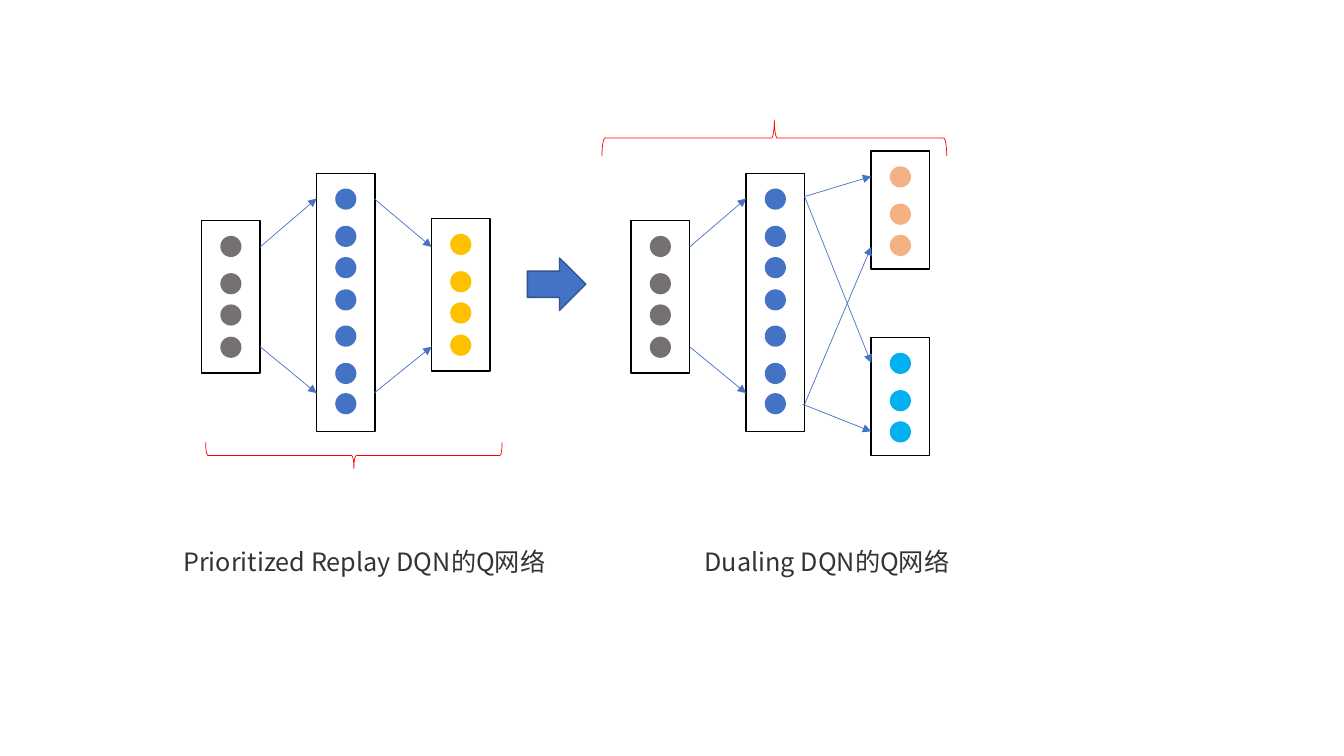
"""Build a slide comparing the Q networks of two DQN variants."""
from lxml import etree
from pptx import Presentation
from pptx.dml.color import RGBColor
from pptx.enum import shapes, text
from pptx.oxml import ns
from pptx.util import Inches, Pt

COLORS = {"input": "767171", "hidden": "4472C4", "action": "FFC000",
          "value": "F4B183", "advantage": "00B0F0", "outline": "000000",
          "arrow_edge": "325491", "brace": "FF0000", "caption": "333333"}
FONT = "Noto Sans CJK SC"
LAYER_WIDTH, NODE_SIZE = 0.58, 0.21
NODE_OFFSETS = [0.15, 0.52, 0.83, 1.15, 1.51, 1.88, 2.18]
LAYER_HEIGHTS = {3: 1.17, 4: 1.51, 7: 2.56}

NETWORK_LEFTS = [2.0, 6.26]
SHARED_LAYERS = [("input", 0, 2.19, 4), ("hidden", 1.14, 1.72, 7)]
OUTPUT_LAYERS = [("action", 4.28, 2.17, 4), ("value", 8.64, 1.5, 3),
                 ("advantage", 8.64, 3.35, 3)]
SHARED_LINKS = [((0.58, 2.45), (1.14, 1.97)), ((0.58, 3.44), (1.14, 3.9))]
OUTPUT_LINKS = [((3.71, 1.97), (4.28, 2.45)), ((3.71, 3.9), (4.28, 3.44)),
                ((7.98, 1.95), (8.64, 1.75)), ((7.98, 4.01), (8.64, 2.45)),
                ((7.98, 1.95), (8.64, 3.6)), ((7.96, 4.01), (8.64, 4.28))]
BRACES = [((3.38, 3.05, 0.26, 2.94), 90), ((7.5, -0.34, 0.36, 3.42), 270)]
CHANGE_ARROW = (5.23, 2.56, 0.58, 0.52)
CAPTIONS = [("Prioritized Replay DQN的Q网络", (1.72, 5.37, 4.0, 0.4)),
            ("Dualing DQN的Q网络", (6.89, 5.37, 2.83, 0.4))]


def rgb(name):
    return RGBColor.from_string(COLORS[name])


def add_figure(slide, preset, box, fill=None, line=None, width=1, rotation=0):
    figure = slide.shapes.add_shape(preset, *map(Inches, box))
    figure.shadow.inherit = False
    figure.rotation = rotation
    if fill:
        figure.fill.solid()
        figure.fill.fore_color.rgb = rgb(fill)
    else:
        figure.fill.background()
    if line:
        figure.line.color.rgb = rgb(line)
        figure.line.width = Pt(width)
    else:
        figure.line.fill.background()


def add_layer(slide, kind, left, top, count):
    add_figure(slide, shapes.MSO_SHAPE.RECTANGLE,
               (left, top, LAYER_WIDTH, LAYER_HEIGHTS[count]), line="outline")
    node_left = left + (LAYER_WIDTH - NODE_SIZE) / 2
    for offset in NODE_OFFSETS[:count]:
        add_figure(slide, shapes.MSO_SHAPE.OVAL,
                   (node_left, top + offset, NODE_SIZE, NODE_SIZE), fill=kind)


def add_link(slide, start, end):
    link = slide.shapes.add_connector(shapes.MSO_CONNECTOR.STRAIGHT,
                                      *map(Inches, start + end))
    link.line.color.rgb = rgb("hidden")
    link.line.width = Pt(0.5)
    etree.SubElement(link.line._get_or_add_ln(), ns.qn("a:tailEnd"), type="triangle")
    etree.SubElement(link._element.spPr, ns.qn("a:effectLst"))


def add_text(slide, words, box, size=18, color="caption", font=FONT):
    frame = slide.shapes.add_textbox(*map(Inches, box)).text_frame
    frame.word_wrap = False
    frame.auto_size = text.MSO_AUTO_SIZE.SHAPE_TO_FIT_TEXT
    run = frame.paragraphs[0].add_run()
    run.text = words
    run.font.size = Pt(size)
    run.font.color.rgb = rgb(color)
    run.font.name = font
    etree.SubElement(run.font._element, ns.qn("a:ea"), typeface=font)


def main():
    deck = Presentation()
    deck.slide_width, deck.slide_height = Inches(13.33), Inches(7.5)
    slide = deck.slides.add_slide(deck.slide_layouts[6])
    for left in NETWORK_LEFTS:
        for kind, shift, top, count in SHARED_LAYERS:
            add_layer(slide, kind, left + shift, top, count)
        for (x1, y1), (x2, y2) in SHARED_LINKS:
            add_link(slide, (left + x1, y1), (left + x2, y2))
    for layer in OUTPUT_LAYERS:
        add_layer(slide, *layer)
    for start, end in OUTPUT_LINKS:
        add_link(slide, start, end)
    add_figure(slide, shapes.MSO_SHAPE.RIGHT_ARROW, CHANGE_ARROW,
               fill="hidden", line="arrow_edge")
    for words, box in CAPTIONS:
        add_text(slide, words, box)
    for box, rotation in BRACES:
        add_figure(slide, shapes.MSO_SHAPE.RIGHT_BRACE, box,
                   line="brace", width=0.5, rotation=rotation)
    deck.save("out.pptx")


if __name__ == "__main__":
    main()
